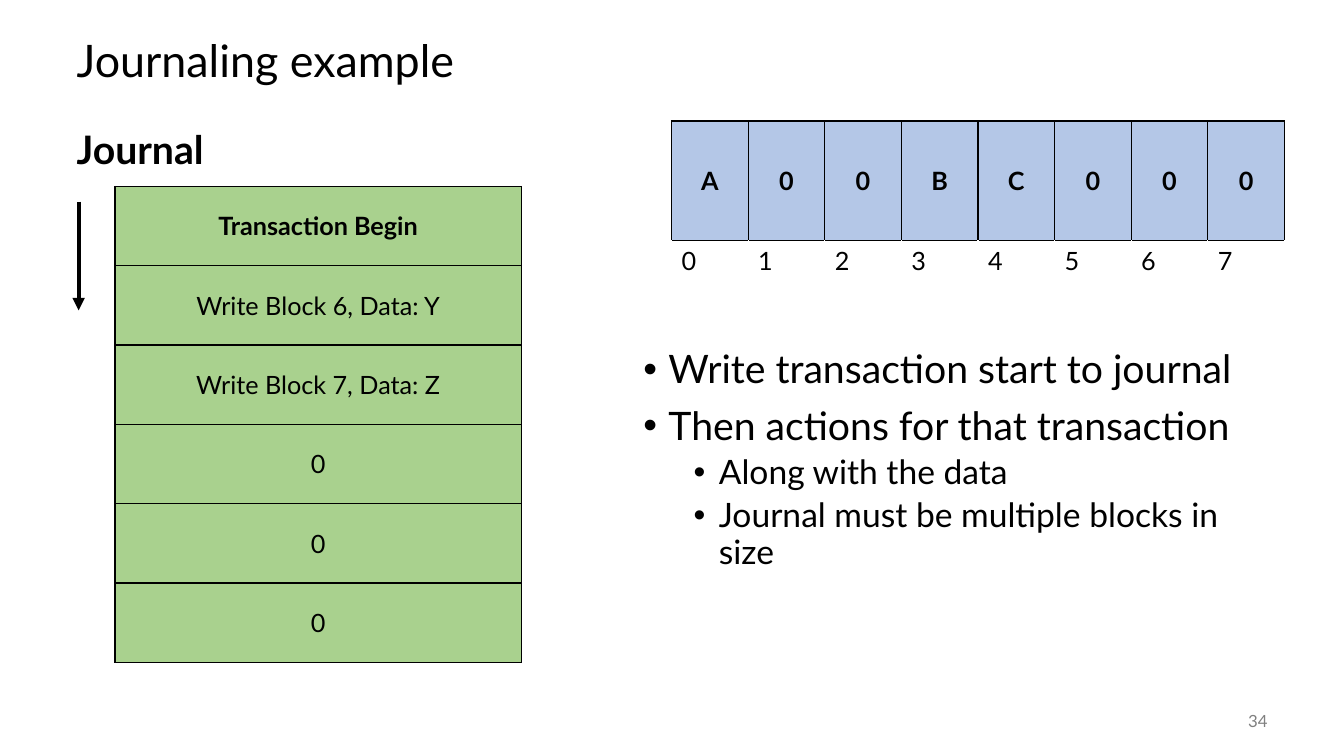
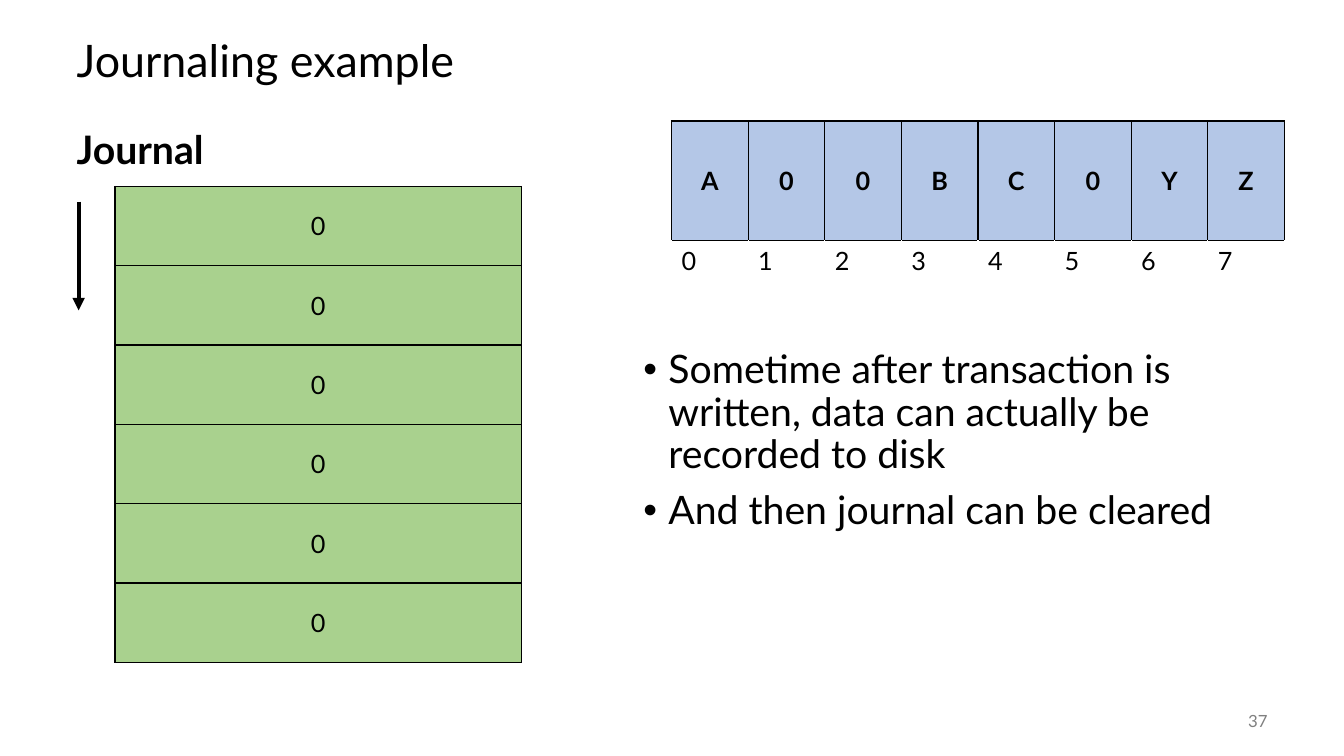
"""Build two slides that step through a journaling example."""
from dataclasses import dataclass

from lxml.etree import SubElement as Sub
from pptx import Presentation
from pptx.dml.color import RGBColor as Rgb
from pptx.enum.shapes import MSO_CONNECTOR as Conn
from pptx.enum.text import MSO_ANCHOR as Anchor, MSO_AUTO_SIZE as Fit, PP_ALIGN as Align
from pptx.oxml.ns import qn
from pptx.util import Inches, Pt

FONT = "Lato"
HEX = {"ink": "000000", "paper": "FFFFFF", "disk": "B4C7E7", "log": "A9D18E", "page": "808080"}
SIZES = (28, 24)
GAPS = (10, 5)
MARKS = (0.25, 0.75)


@dataclass(frozen=True)
class Point:
    text: str
    level: int = 0


@dataclass(frozen=True)
class Step:
    page: int
    disk: str
    log: tuple[str, ...]
    points: tuple[Point, ...]


STEPS = (
    Step(34, "A00BC000",
         ("Transaction Begin", "Write Block 6, Data: Y", "Write Block 7, Data: Z", "0", "0", "0"),
         (Point("Write transaction start to journal"),
          Point("Then actions for that transaction"),
          Point("Along with the data", 1),
          Point("Journal must be multiple blocks in size", 1))),
    Step(37, "A00BC0YZ", ("0",) * 6,
         (Point("Sometime after transaction is written, data can actually be recorded to disk"),
          Point("And then journal can be cleared"))),
)


def place(shape, left: float, top: float, width: float, height: float) -> None:
    shape.left, shape.top = Inches(left), Inches(top)
    shape.width, shape.height = Inches(width), Inches(height)


def style(para, size: int, bold: bool = False, color: str = "ink", align=Align.LEFT) -> None:
    para.alignment = align
    for run in para.runs:
        font = run.font
        font.name, font.size, font.bold = FONT, Pt(size), bold
        font.color.rgb = Rgb.from_string(HEX[color])


def space(para, before: float) -> None:
    para.line_spacing = 0.9
    para.space_before = Pt(before)


def indent(para, left: float, hang: float, mark: str = "") -> None:
    props = para._p.get_or_add_pPr()
    props.set("marL", str(Inches(left)))
    props.set("indent", str(-Inches(hang)))
    if mark:
        Sub(props, qn("a:buFont"), typeface="Arial")
        Sub(props, qn("a:buChar"), char=mark)
    else:
        Sub(props, qn("a:buNone"))


def add_title(slide, text: str) -> None:
    title = slide.shapes.title
    place(title, 0.66, 0.25, 12, 0.75)
    frame = title.text_frame
    frame.text = text
    frame.auto_size = Fit.NONE
    frame.vertical_anchor = Anchor.MIDDLE
    space(frame.paragraphs[0], 0)
    style(frame.paragraphs[0], 32)


def add_head(slide, text: str) -> None:
    body = slide.placeholders[1]
    place(body, 0.66, 1.25, 5.75, 5.5)
    frame = body.text_frame
    frame.text = text
    frame.auto_size = Fit.NONE
    para = frame.paragraphs[0]
    indent(para, 0, 0)
    space(para, 0)
    style(para, 28, bold=True)


def add_list(slide, points: tuple[Point, ...]) -> None:
    body = slide.placeholders[2]
    place(body, 6.28, 3.42, 6.39, 3.33)
    frame = body.text_frame
    frame.auto_size = Fit.NONE
    for i, point in enumerate(points):
        para = frame.add_paragraph() if i else frame.paragraphs[0]
        para.text = point.text
        para.level = point.level
        indent(para, MARKS[point.level], 0.25, "•")
        space(para, GAPS[point.level] if i else 0)
        style(para, SIZES[point.level])


def add_page(slide, page: int) -> None:
    box = slide.shapes.add_textbox(Inches(11.67), Inches(6.95), Inches(1), Inches(0.4))
    frame = box.text_frame
    frame.word_wrap = True
    frame.vertical_anchor = Anchor.MIDDLE
    frame.text = str(page)
    style(frame.paragraphs[0], 12, color="page", align=Align.RIGHT)


def edge(cell, side: str, color: str) -> None:
    line = Sub(cell._tc.get_or_add_tcPr(), qn(f"a:ln{side}"), w=str(Pt(1)))
    Sub(Sub(line, qn("a:solidFill")), qn("a:srgbClr"), val=HEX[color])


def add_grid(slide, rows: int, cols: int, left: float, top: float, width: float, height: float):
    frame = slide.shapes.add_table(rows, cols, Inches(left), Inches(top), Inches(width), Inches(height))
    table = frame.table
    table.first_row = table.horz_banding = False
    return table


def fill_block(cell, text: str, color: str, bold: bool) -> None:
    for side in "LRTB":
        edge(cell, side, "ink")
    cell.fill.solid()
    cell.fill.fore_color.rgb = Rgb.from_string(HEX[color])
    cell.vertical_anchor = Anchor.MIDDLE
    cell.text = text
    style(cell.text_frame.paragraphs[0], 18, bold, align=Align.CENTER)


def fill_index(cell, text: str) -> None:
    for side in "LRTB":
        edge(cell, side, "ink" if side == "T" else "paper")
    cell.fill.background()
    cell.text = text
    style(cell.text_frame.paragraphs[0], 18)


def add_disk(slide, blocks: str) -> None:
    table = add_grid(slide, 2, len(blocks), 6.66, 1.2, 6.08, 1.72)
    for row, height in zip(table.rows, (1.19, 0.53)):
        row.height = Inches(height)
    for i, block in enumerate(blocks):
        fill_block(table.cell(0, i), block, "disk", True)
        fill_index(table.cell(1, i), str(i))


def add_log(slide, log: tuple[str, ...]) -> None:
    table = add_grid(slide, len(log), 1, 1.14, 1.85, 4.03, 4.72)
    for i, text in enumerate(log):
        fill_block(table.cell(i, 0), text, "log", text.startswith("Transaction"))


def add_arrow(slide) -> None:
    x = Inches(0.78)
    arrow = slide.shapes.add_connector(Conn.STRAIGHT, x, Inches(2), x, Inches(3.08))
    arrow.line.color.rgb = Rgb.from_string(HEX["ink"])
    arrow.line.width = Pt(3)
    Sub(arrow.line._get_or_add_ln(), qn("a:tailEnd"), type="triangle")
    Sub(arrow._element.spPr, qn("a:effectLst"))


def main() -> None:
    deck = Presentation()
    deck.slide_width, deck.slide_height = Inches(13.33), Inches(7.5)
    for step in STEPS:
        slide = deck.slides.add_slide(deck.slide_layouts[3])
        add_title(slide, "Journaling example")
        add_head(slide, "Journal")
        add_page(slide, step.page)
        add_list(slide, step.points)
        add_disk(slide, step.disk)
        add_log(slide, step.log)
        add_arrow(slide)
    deck.save("out.pptx")


if __name__ == "__main__":
    main()
